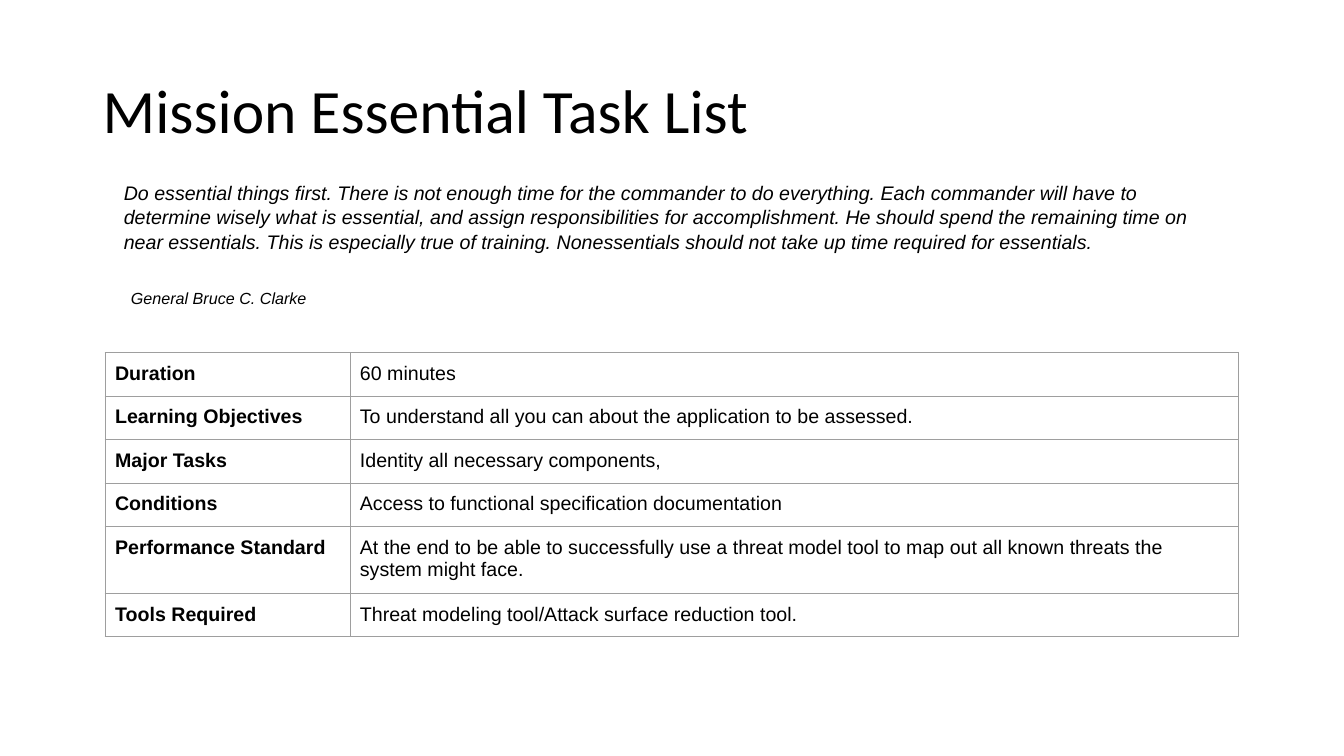
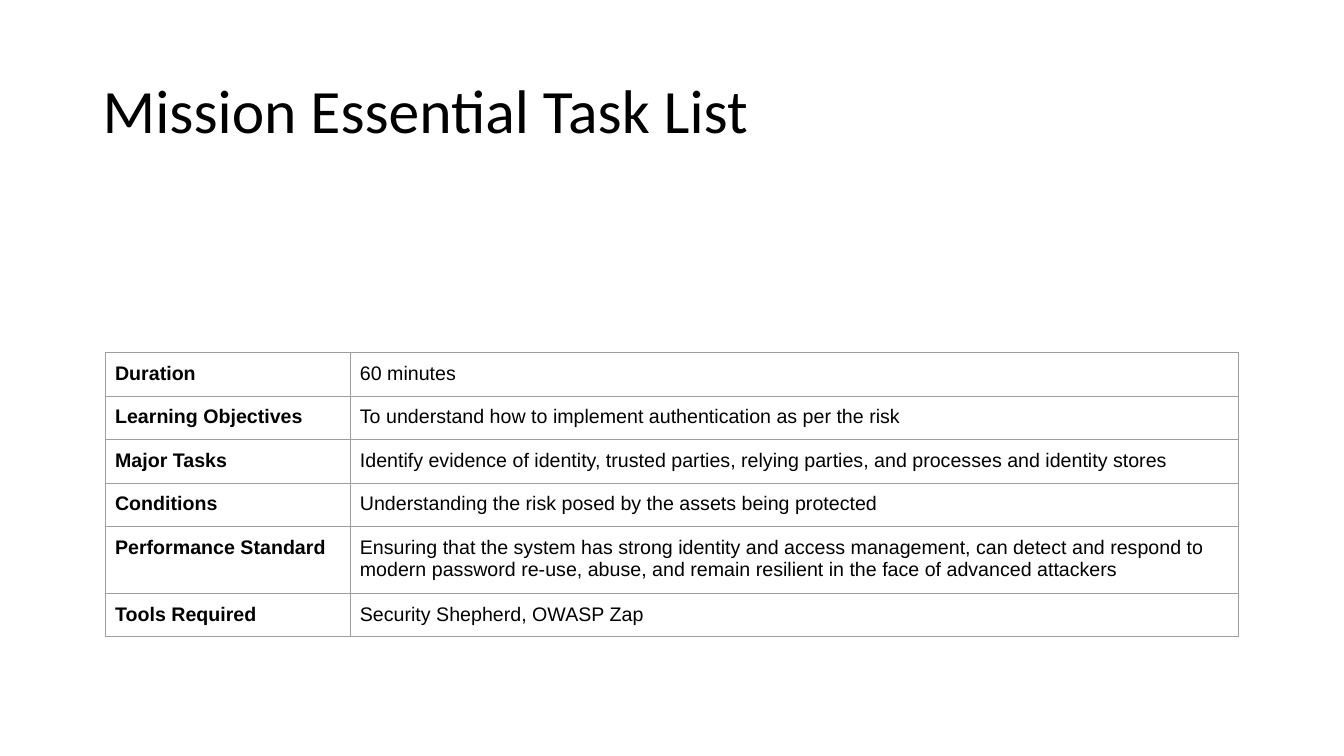
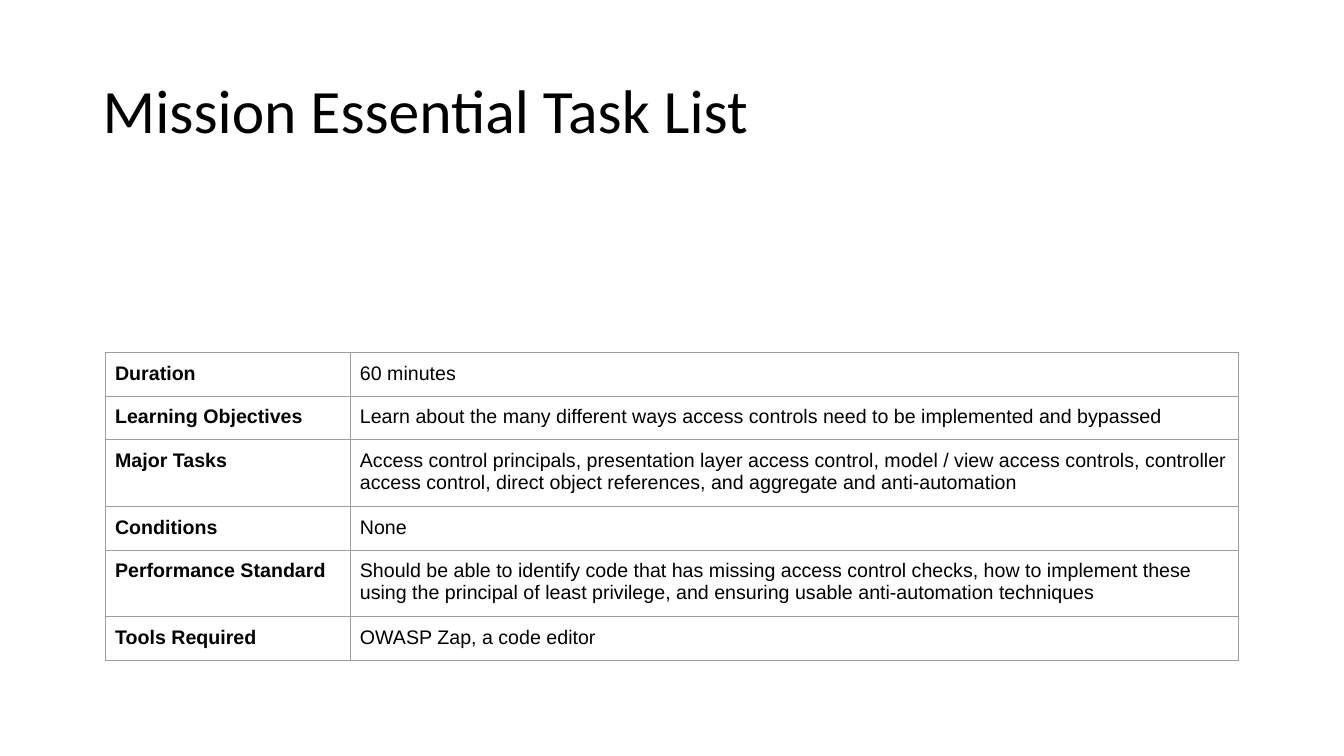
from pptx import Presentation
from pptx.dml.color import RGBColor
from pptx.enum.text import MSO_ANCHOR as Anchor, PP_ALIGN as Align
from pptx.oxml import parse_xml
from pptx.oxml.ns import nsdecls
from pptx.util import Cm, Pt

BLACK = RGBColor(0x00, 0x00, 0x00)
GREY = RGBColor(0x9E, 0x9E, 0x9E)
INSET = Cm(0.25)

TITLE = "Mission Essential Task List"
QUOTE = (
    "Do essential things first. There is not enough time for the commander to do everything. "
    "Each commander will have to determine wisely what is essential, and assign responsibilities "
    "for accomplishment. He should spend the remaining time on near essentials. This is especially "
    "true of training. Nonessentials should not take up time required for essentials."
)
AUTHOR = "General Bruce C. Clarke"
TOPICS = (
    "Duration",
    "Learning Objectives",
    "Major Tasks",
    "Conditions",
    "Performance Standard",
    "Tools Required",
)
LESSONS = (
    (
        "60 minutes",
        "To understand all you can about the application to be assessed.",
        "Identity all necessary components,",
        "Access to functional specification documentation",
        "At the end to be able to successfully use a threat model tool to map out all known "
        "threats the system might face.",
        "Threat modeling tool/Attack surface reduction tool.",
    ),
    (
        "60 minutes",
        "To understand how to implement authentication as per the risk",
        "Identify evidence of identity, trusted parties, relying parties, and processes and "
        "identity stores",
        "Understanding the risk posed by the assets being protected",
        "Ensuring that the system has strong identity and access management, can detect and "
        "respond to modern password re-use, abuse, and remain resilient in the face of "
        "advanced attackers",
        "Security Shepherd, OWASP Zap",
    ),
    (
        "60 minutes",
        "Learn about the many different ways access controls need to be implemented and bypassed",
        "Access control principals, presentation layer access control, model / view access "
        "controls, controller access control, direct object references, and aggregate and "
        "anti-automation",
        "None",
        "Should be able to identify code that has missing access control checks, how to implement "
        "these using the principal of least privilege, and ensuring usable anti-automation "
        "techniques",
        "OWASP Zap, a code editor",
    ),
)


def write(paragraph, text, size=14, face="Arial", bold=False, italic=False,
          align=Align.LEFT, spacing=None, before=None, indent=None):
    if indent is not None:
        paragraph._p.get_or_add_pPr().set("marL", str(indent))
    paragraph.alignment = align
    paragraph.line_spacing = spacing
    paragraph.space_before = before
    run = paragraph.add_run()
    run.text = text
    run.font.size = Pt(size)
    run.font.name = face
    run.font.bold = bold
    run.font.italic = italic
    run.font.color.rgb = BLACK


def set_insets(holder):
    holder.margin_left = holder.margin_right = INSET
    holder.margin_top = holder.margin_bottom = INSET


def outline(cell):
    properties = cell._tc.get_or_add_tcPr()
    for position, side in enumerate(("lnL", "lnR", "lnT", "lnB")):
        properties.insert(position, parse_xml(
            f'<a:{side} {nsdecls("a")} w="{Pt(0.75)}"><a:solidFill>'
            f'<a:srgbClr val="{GREY}"/></a:solidFill></a:{side}>'))


class Deck:
    def __init__(self):
        self.show = Presentation()
        self.show.slide_width = Cm(33.87)
        self.show.slide_height = Cm(19.05)
        self.slide = None

    def new_slide(self):
        self.slide = self.show.slides.add_slide(self.show.slide_layouts[6])
        self.title()

    def text_frame(self, left, top, width, height, anchor=Anchor.TOP):
        frame = self.slide.shapes.add_textbox(
            Cm(left), Cm(top), Cm(width), Cm(height)).text_frame
        frame.word_wrap = True
        frame.vertical_anchor = anchor
        set_insets(frame)
        return frame

    def title(self):
        frame = self.text_frame(2.34, 1.02, 29.21, 3.68, Anchor.MIDDLE)
        write(frame.paragraphs[0], TITLE, size=44, face="Calibri", spacing=0.9)

    def quote(self):
        frame = self.text_frame(2.87, 4.27, 28.35, 3.53)
        write(frame.paragraphs[0], QUOTE, italic=True, spacing=1.05)
        write(frame.add_paragraph(), AUTHOR, size=11.5, italic=True, align=Align.JUSTIFY,
              spacing=1.15, before=Pt(23), indent=Cm(0.18))

    def task_table(self, details):
        widths = (6.17, 22.4)
        row_height = 1.07
        table = self.slide.shapes.add_table(
            len(TOPICS), len(widths), Cm(2.65), Cm(8.89),
            Cm(sum(widths)), Cm(row_height * len(TOPICS))).table
        table.first_row = False
        table.horz_banding = False
        for column, width in zip(table.columns, widths):
            column.width = Cm(width)
        for row, entry in zip(table.rows, zip(TOPICS, details)):
            row.height = Cm(row_height)
            for cell, text, bold in zip(row.cells, entry, (True, False)):
                set_insets(cell)
                cell.fill.background()
                outline(cell)
                write(cell.text_frame.paragraphs[0], text, bold=bold)


def main():
    deck = Deck()
    for number, details in enumerate(LESSONS):
        deck.new_slide()
        deck.task_table(details)
        if number == 0:
            deck.quote()
    deck.show.save("out.pptx")


if __name__ == "__main__":
    main()
